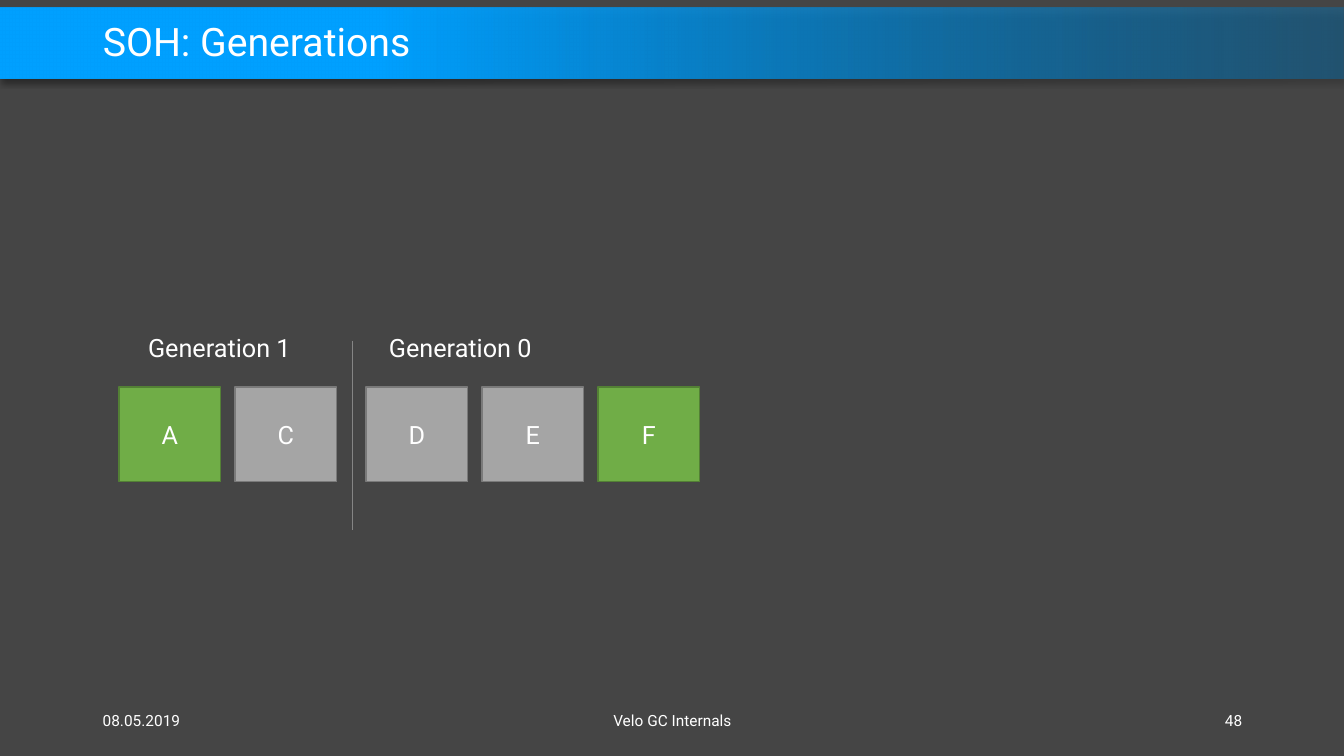
import dataclasses

import lxml.etree
import pptx
import pptx.dml.color
import pptx.enum.shapes
import pptx.enum.text
import pptx.oxml.ns
import pptx.util

PX = pptx.util.Inches(0.01)  # one px is a hundredth of an inch
ALIGN = pptx.enum.text.PP_ALIGN
ANCHOR = pptx.enum.text.MSO_ANCHOR
AUTO_SIZE = pptx.enum.text.MSO_AUTO_SIZE


@dataclasses.dataclass(frozen=True)
class Theme:
    font: str = "Roboto"
    title_size: int = 28
    body_size: int = 18
    footer_size: int = 11
    background: str = "454545"
    text: str = "FFFFFF"
    band_start: str = "0078BF"
    band_end: str = "00A0FF"
    shadow: str = "000000"
    divider: str = "858585"
    live: tuple = ("70AD47", "538035")  # fill, outline
    dead: tuple = ("A5A5A5", "7A7A7A")


THEME = Theme()


def rgb(code):
    return pptx.dml.color.RGBColor.from_string(code)


def box(*lengths):
    return [length * PX for length in lengths]


def add_xml(parent, tag, **attributes):
    return lxml.etree.SubElement(parent, pptx.oxml.ns.qn(tag), attributes)


def write(frame, text, size, align=ALIGN.LEFT, anchor=ANCHOR.MIDDLE, wrap=True):
    frame.text = text
    frame.word_wrap = wrap
    frame.vertical_anchor = anchor
    paragraph = frame.paragraphs[0]
    paragraph.alignment = align
    font = paragraph.runs[0].font
    font.name = THEME.font
    font.size = pptx.util.Pt(size)
    font.color.rgb = rgb(THEME.text)


def add_rectangle(slide, left, top, width, height):
    rectangle = slide.shapes.add_shape(
        pptx.enum.shapes.MSO_SHAPE.RECTANGLE, *box(left, top, width, height))
    rectangle.shadow.inherit = False
    return rectangle


def add_title_band(slide):
    band = add_rectangle(slide, 0, 8, 1333, 70)
    band.line.fill.background()
    band.fill.gradient()
    band.fill.gradient_angle = 180
    start, end = band.fill.gradient_stops
    start.color.rgb = rgb(THEME.band_start)
    end.color.rgb = rgb(THEME.band_end)
    end.position = 0.72

    # Fade at the right end, and a soft shadow below
    properties = band.element.spPr
    add_xml(properties.find(".//" + pptx.oxml.ns.qn("a:srgbClr")), "a:alpha", val="40000")
    effects = properties.find(pptx.oxml.ns.qn("a:effectLst"))
    shadow = add_xml(effects, "a:outerShdw", blurRad=str(pptx.util.Pt(4)),
                     dist=str(pptx.util.Pt(3)), dir="5400000", algn="t", rotWithShape="0")
    color = add_xml(shadow, "a:srgbClr", val=THEME.shadow)
    add_xml(color, "a:alpha", val="40000")

    # The band lies behind the title
    slide.shapes.title.element.addprevious(band.element)


def add_title(slide, text):
    title = slide.shapes.title
    title.left, title.top, title.width, title.height = box(92, 16, 1150, 55)
    write(title.text_frame, text, THEME.title_size)
    title.text_frame.auto_size = AUTO_SIZE.NONE
    title.text_frame.paragraphs[0].line_spacing = 0.9


def add_footer(slide, left, width, text, align):
    footer = slide.shapes.add_textbox(*box(left, 695, width, 40))
    write(footer.text_frame, text, THEME.footer_size, align)


def add_generation_label(slide, left, text):
    label = slide.shapes.add_textbox(*box(left, 325, 164, 40))
    write(label.text_frame, text, THEME.body_size, anchor=ANCHOR.TOP, wrap=False)
    label.text_frame.auto_size = AUTO_SIZE.SHAPE_TO_FIT_TEXT


def add_object(slide, left, name, colors):
    cell = add_rectangle(slide, left, 384, 101, 94)
    fill, outline = colors
    cell.fill.solid()
    cell.fill.fore_color.rgb = rgb(fill)
    cell.line.color.rgb = rgb(outline)
    cell.line.width = pptx.util.Pt(1)
    write(cell.text_frame, name, THEME.body_size, ALIGN.CENTER)


def add_divider(slide, x, top, bottom):
    divider = slide.shapes.add_connector(
        pptx.enum.shapes.MSO_CONNECTOR.STRAIGHT, *box(x, top, x, bottom))
    divider.line.color.rgb = rgb(THEME.divider)
    divider.line.width = pptx.util.Pt(0.5)
    add_xml(divider.element.spPr, "a:effectLst")


def main():
    deck = pptx.Presentation()
    deck.slide_width, deck.slide_height = box(1333, 750)
    slide = deck.slides.add_slide(deck.slide_layouts.get_by_name("Title Only"))
    slide.background.fill.solid()
    slide.background.fill.fore_color.rgb = rgb(THEME.background)

    # Header
    add_title_band(slide)
    add_title(slide, "SOH: Generations")

    # Generations: label, label left, first object left, objects
    generations = [
        ("Generation 1", 137, 118, [("A", THEME.live), ("C", THEME.dead)]),
        ("Generation 0", 376, 363,
         [("D", THEME.dead), ("E", THEME.dead), ("F", THEME.live)]),
    ]
    object_pitch = 115
    for label, label_left, first_left, objects in generations:
        add_generation_label(slide, label_left, label)
        for index, (name, colors) in enumerate(objects):
            add_object(slide, first_left + index * object_pitch, name, colors)
    add_divider(slide, 349, 338, 526)

    # Footer
    add_footer(slide, 92, 300, "08.05.2019", ALIGN.LEFT)
    add_footer(slide, 442, 450, "Velo GC Internals", ALIGN.CENTER)
    add_footer(slide, 942, 300, "48", ALIGN.RIGHT)

    deck.save("out.pptx")


if __name__ == "__main__":
    main()
